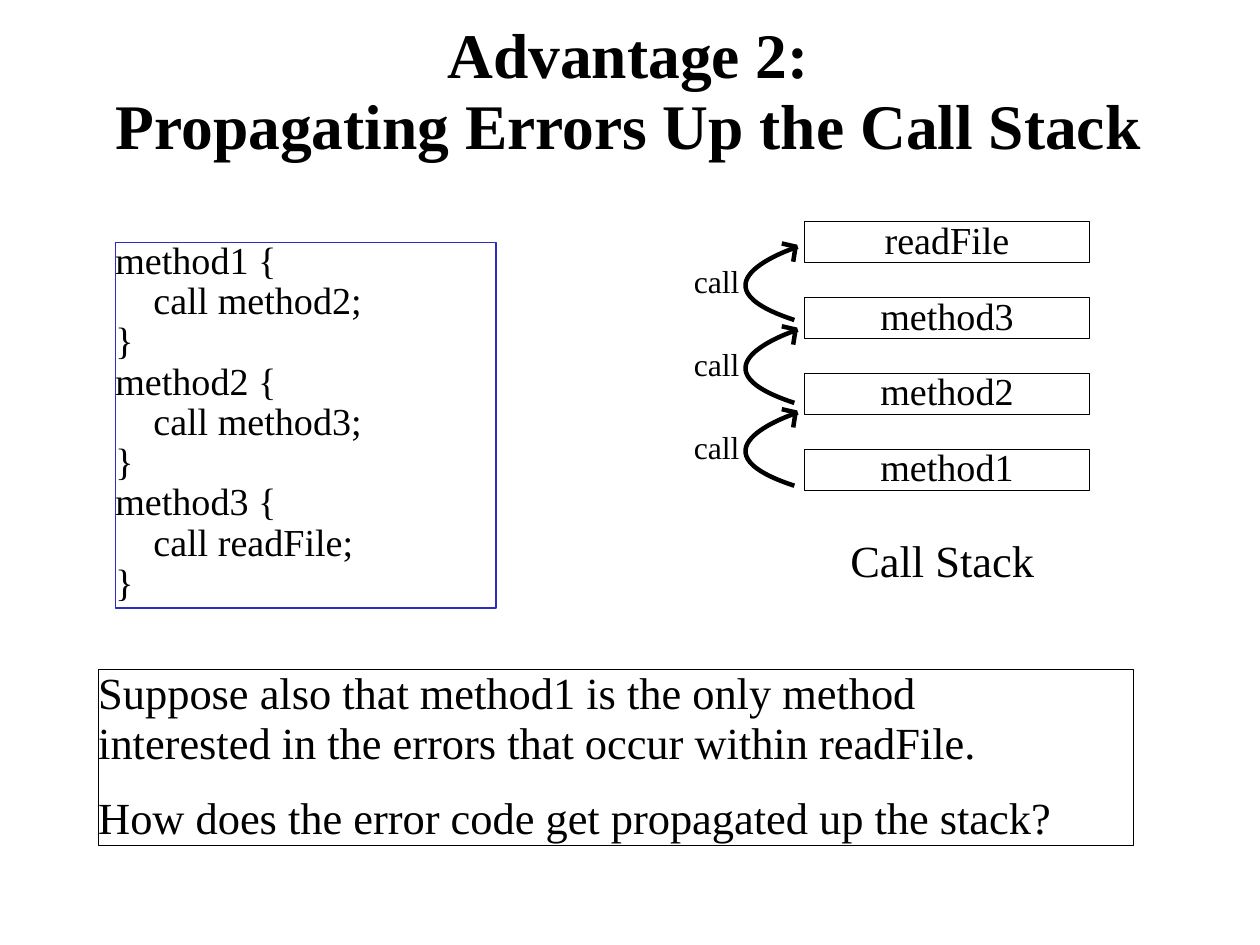
"""Build the slide on propagating errors up the call stack."""
from lxml.etree import SubElement
from pptx import Presentation
from pptx.dml.color import RGBColor
from pptx.enum.shapes import MSO_CONNECTOR as Connector, MSO_SHAPE as Shape
from pptx.enum.text import MSO_ANCHOR as Anchor, MSO_AUTO_SIZE as AutoSize, PP_ALIGN as Align
from pptx.oxml.ns import qn
from pptx.util import Cm, Inches, Pt

FONT = "Times New Roman"
BLACK, BLUE = "000000", "2D2DB9"
TITLE = ["Advantage 2:", "Propagating Errors Up the Call Stack"]
CODE = [
    "method1 {", "    call method2;", "}",
    "method2 {", "    call method3;", "}",
    "method3 {", "    call readFile;", "}",
]
STACK = ["readFile", "method3", "method2", "method1"]
QUESTION = [
    "Suppose also that method1 is the only method",
    "interested in the errors that occur within readFile.",
    "How does the error code get propagated up the stack?",
]

STACK_TOP, STACK_BOTTOM = 1.94, 3.93
CALL_TOP, CALL_BOTTOM = 2.16, 3.61
CURVE = [(6.95, 0.64), (5.97, 0.32), (6.98, 0), (6.98, 0)]
BARBS = [((6.84, -0.03), (6.97, 0)), ((6.94, 0.13), (6.96, 0))]
THIN, THICK = 0.75, 2.83


def color(value):
    return RGBColor.from_string(value)


def spread(first, last, count):
    return [first + (last - first) * index / (count - 1) for index in range(count)]


def set_line(item, value, width):
    item.line.color.rgb = color(value)
    item.line.width = Pt(width)


def prepare(frame, anchor, wrap=True):
    frame.margin_left = frame.margin_right = frame.margin_top = frame.margin_bottom = 0
    frame.vertical_anchor = anchor
    frame.word_wrap = wrap
    frame.auto_size = AutoSize.NONE


def add_span(para, text, size, bold=False):
    span = para.add_run()
    span.text = text
    span.font.name, span.font.size, span.font.bold = FONT, Pt(size), bold
    span.font.color.rgb = color(BLACK)


def write(frame, lines, size, spacing, align=Align.LEFT):
    for index, text in enumerate(lines):
        para = frame.add_paragraph() if index else frame.paragraphs[0]
        para.alignment, para.line_spacing = align, spacing
        add_span(para, text, size)


def add_box(page, kind, place, line):
    box = page.shapes.add_shape(kind, *map(Inches, place))
    box.shadow.inherit = False
    box.fill.background()
    set_line(box, line, THIN)
    return box


def add_label(page, text, place, size):
    label = page.shapes.add_textbox(*map(Inches, place))
    prepare(label.text_frame, Anchor.TOP, wrap=False)
    write(label.text_frame, [text], size, 0.93)


def add_call(page, top):
    start, *rest = [(Inches(x), Inches(top + y)) for x, y in CURVE]
    builder = page.shapes.build_freeform(*start)
    builder.add_line_segments(rest, close=False)
    arc = builder.convert_to_shape()
    arc.shadow.inherit = False
    arc.fill.background()
    set_line(arc, BLACK, THICK)
    outline = arc.element.xpath(".//a:path")[0]
    segments = outline.findall(qn("a:lnTo"))
    cubic = SubElement(outline, qn("a:cubicBezTo"))
    for segment in segments:
        cubic.append(segment[0])
        outline.remove(segment)
    for (x1, y1), (x2, y2) in BARBS:
        barb = page.shapes.add_connector(
            Connector.STRAIGHT, Inches(x1), Inches(top + y1), Inches(x2), Inches(top + y2))
        set_line(barb, BLACK, THICK)
        SubElement(barb.element.spPr, qn("a:effectLst"))
    add_label(page, "call", (6.07, top + 0.16, 0.4, 0.31), 20)


def main():
    deck = Presentation()
    deck.slide_width, deck.slide_height = Cm(28), Cm(21)
    page = deck.slides.add_slide(deck.slide_layouts[5])

    title = page.shapes.title
    title.left, title.top, title.width, title.height = map(Inches, (0.79, 0.13, 9.41, 1.36))
    prepare(title.text_frame, Anchor.MIDDLE)
    heading = title.text_frame.paragraphs[0]
    heading.alignment, heading.line_spacing = Align.CENTER, 0.93
    for index, text in enumerate(TITLE):
        if index:
            heading.add_line_break()
        add_span(heading, text, 40, bold=True)

    code = add_box(page, Shape.RECTANGLE, (1.01, 2.12, 3.33, 3.2), BLUE)
    prepare(code.text_frame, Anchor.TOP)
    write(code.text_frame, CODE, 24, 0.88)

    for name, top in zip(STACK, spread(STACK_TOP, STACK_BOTTOM, len(STACK))):
        method = add_box(page, Shape.ROUNDED_RECTANGLE, (7.04, top, 2.49, 0.36), BLACK)
        method.adjustments[0] = 0
        prepare(method.text_frame, Anchor.MIDDLE)
        write(method.text_frame, [name], 24, 0.88, Align.CENTER)
    add_label(page, "Call Stack", (7.44, 4.71, 1.61, 0.44), 28)

    for top in spread(CALL_TOP, CALL_BOTTOM, len(STACK) - 1):
        add_call(page, top)

    question = add_box(page, Shape.RECTANGLE, (0.86, 5.86, 9.06, 1.54), BLACK)
    prepare(question.text_frame, Anchor.TOP)
    write(question.text_frame, QUESTION, 28, 0.93)
    question.text_frame.paragraphs[-1].line_spacing = 1.4

    deck.save("out.pptx")


if __name__ == "__main__":
    main()
